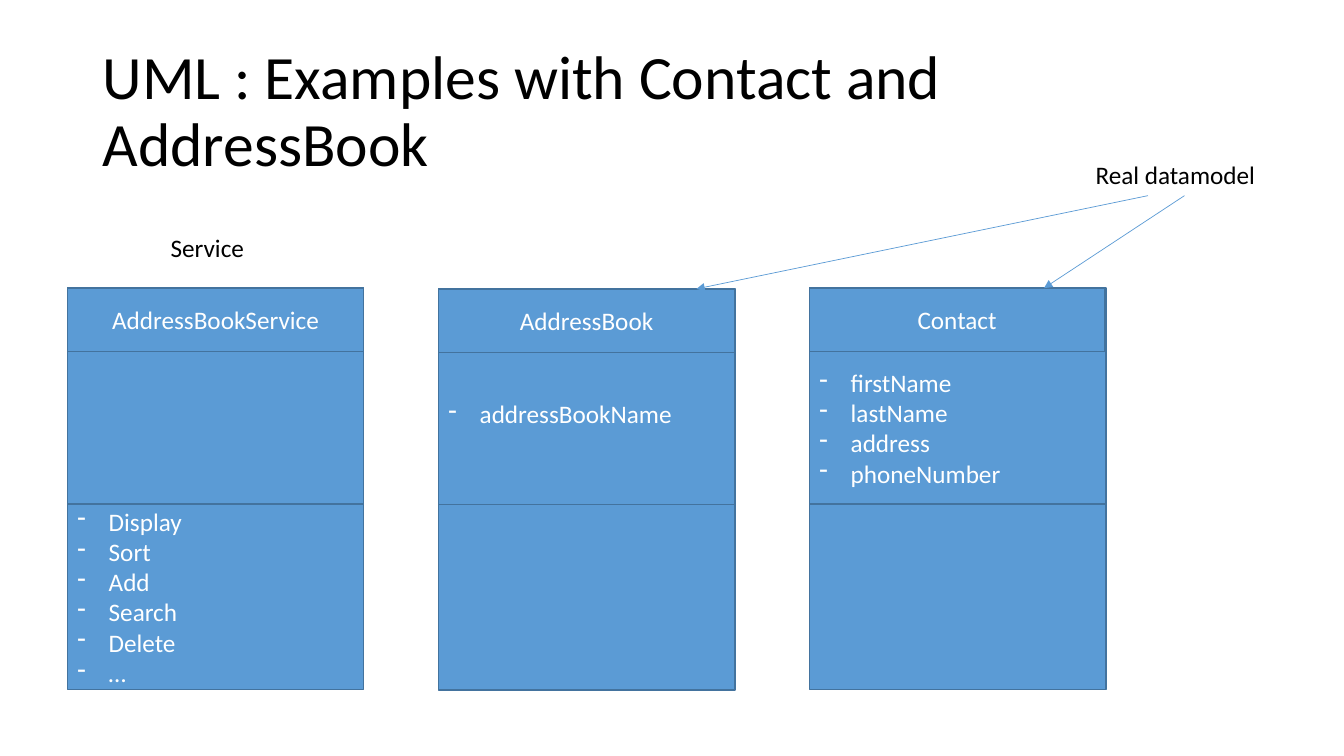
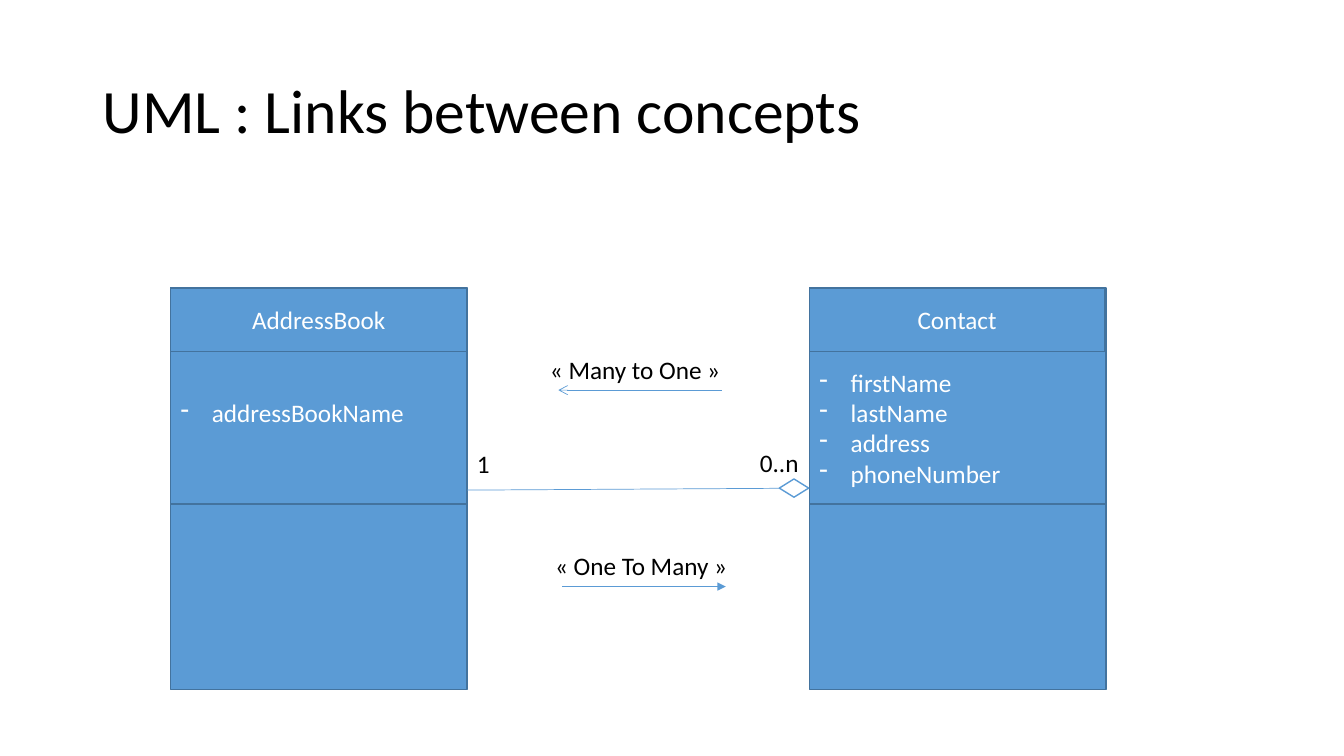
from lxml import etree
from pptx import Presentation
from pptx import util as u
from pptx.dml.color import RGBColor
from pptx.enum import shapes, text
from pptx.oxml import ns

BLUE, EDGE, WHITE, BLACK = "5B9BD5", "43739E", "FFFFFF", "000000"
FONT = "Calibri"
CONTACT_FIELDS = ["firstName", "lastName", "address", "phoneNumber"]
BOX_WIDTH, BOX_TOP = 7.47, 7.26
NAME_HEIGHT, FIELDS_HEIGHT, METHODS_HEIGHT = 1.6, 3.84, 4.67
FRAME_HEIGHT = 8.94
CONTACT_LEFT = 20.4
COLUMN_STEP = 9.35
LINE_HEIGHT = 0.77


def color(hex_string):
    return RGBColor.from_string(hex_string)


def add_xml(parent, tag, **attributes):
    return etree.SubElement(parent, ns.qn(tag), attributes)


class Deck:
    """Holds the shared style and the slide being drawn."""

    def __init__(self):
        self.presentation = Presentation()
        self.presentation.slide_width = u.Cm(33.87)
        self.presentation.slide_height = u.Cm(19.05)
        self.slide = None

    def add_text(self, paragraph, words, size=18, ink=BLACK):
        run = paragraph.add_run()
        run.text = words
        run.font.size = u.Pt(size)
        run.font.name = FONT
        run.font.color.rgb = color(ink)

    def new_slide(self, title):
        layout = self.presentation.slide_layouts.get_by_name("Title Only")
        self.slide = self.presentation.slides.add_slide(layout)
        shape = self.slide.shapes.title
        shape.left, shape.top = u.Cm(2.33), u.Cm(1.01)
        shape.width, shape.height = u.Cm(29.21), u.Cm(3.68)
        frame = shape.text_frame
        frame.word_wrap = True
        frame.auto_size = text.MSO_AUTO_SIZE.NONE
        frame.vertical_anchor = text.MSO_ANCHOR.MIDDLE
        paragraph = frame.paragraphs[0]
        paragraph.alignment = text.PP_ALIGN.LEFT
        paragraph.line_spacing = 0.9
        self.add_text(paragraph, title, size=44)

    def shape(self, left, top, width, height, fill=BLUE, edge=EDGE,
              kind=shapes.MSO_SHAPE.RECTANGLE):
        shape = self.slide.shapes.add_shape(
            kind, u.Cm(left), u.Cm(top), u.Cm(width), u.Cm(height))
        shape.shadow.inherit = False
        shape.fill.solid()
        shape.fill.fore_color.rgb = color(fill)
        shape.line.color.rgb = color(edge)
        shape.line.width = u.Pt(1)
        shape.text_frame.word_wrap = True
        shape.text_frame.vertical_anchor = text.MSO_ANCHOR.MIDDLE
        return shape

    def bullets(self, shape, items):
        frame = shape.text_frame
        for index, item in enumerate(items):
            paragraph = frame.add_paragraph() if index else frame.paragraphs[0]
            paragraph.alignment = text.PP_ALIGN.LEFT
            properties = paragraph._p.get_or_add_pPr()
            indent = u.Cm(0.79)
            properties.set("marL", str(indent))
            properties.set("indent", str(-indent))
            add_xml(properties, "a:buChar", char="-")
            self.add_text(paragraph, item, ink=WHITE)

    def uml_class(self, left, name, fields=(), methods=(), top=BOX_TOP,
                  name_width=BOX_WIDTH, spare_lines=0):
        """A class box: frame, name, fields and methods."""
        self.shape(left, top, BOX_WIDTH, FRAME_HEIGHT)
        header = self.shape(left, top, name_width, NAME_HEIGHT)
        paragraph = header.text_frame.paragraphs[0]
        paragraph.alignment = text.PP_ALIGN.CENTER
        self.add_text(paragraph, name, ink=WHITE)
        top += NAME_HEIGHT
        field_box = self.shape(left, top, BOX_WIDTH, FIELDS_HEIGHT)
        field_box.text_frame.margin_bottom = u.Cm(0.13 + spare_lines * LINE_HEIGHT)
        self.bullets(field_box, fields)
        top += FIELDS_HEIGHT
        method_box = self.shape(left, top, BOX_WIDTH, METHODS_HEIGHT)
        self.bullets(method_box, methods)

    def contact_class(self):
        self.uml_class(CONTACT_LEFT, "Contact", CONTACT_FIELDS, name_width=7.44)

    def address_book_class(self, left, top=BOX_TOP):
        self.uml_class(left, "AddressBook", ["addressBookName"], top=top,
                       spare_lines=1)

    def label(self, left, top, width, words, wrap=False):
        box = self.slide.shapes.add_textbox(
            u.Cm(left), u.Cm(top), u.Cm(width), u.Cm(1.03))
        box.text_frame.word_wrap = wrap
        box.text_frame.auto_size = text.MSO_AUTO_SIZE.SHAPE_TO_FIT_TEXT
        self.add_text(box.text_frame.paragraphs[0], words)

    def line(self, start, end, head=None, tail=None):
        connector = self.slide.shapes.add_connector(
            shapes.MSO_CONNECTOR.STRAIGHT,
            *(u.Cm(length) for length in (*start, *end)))
        connector.line.color.rgb = color(BLUE)
        connector.line.width = u.Pt(0.5)
        outline = connector.line._get_or_add_ln()
        for tag, arrow in (("a:headEnd", head), ("a:tailEnd", tail)):
            if arrow:
                add_xml(outline, tag, type=arrow)
        add_xml(connector._element.spPr, "a:effectLst")


deck = Deck()

# Slide 1: service and data model classes
deck.new_slide("UML : Examples with Contact and AddressBook")
deck.uml_class(CONTACT_LEFT - 2 * COLUMN_STEP, "AddressBookService",
               methods=["Display", "Sort", "Add", "Search", "Delete", "…"])
deck.contact_class()
deck.label(27.36, 3.9, 4.98, "Real datamodel", wrap=True)
deck.line((29.85, 4.93), (26.31, BOX_TOP), tail="triangle")
deck.address_book_class(CONTACT_LEFT - COLUMN_STEP, top=7.28)
deck.line((28.93, 4.93), (17.55, 7.28), tail="triangle")
deck.label(4.05, 5.72, 2.39, "Service")

# Slide 2: association between the two classes
deck.new_slide("UML : Links between concepts")
deck.contact_class()
book_left = 4.3
book_right = book_left + BOX_WIDTH
deck.address_book_class(book_left)
deck.line((book_right, 12.35), (CONTACT_LEFT, 12.3))
deck.label(18.9, 11.15, 1.5, "0..n")
deck.label(book_right, 11.18, 0.84, "1")
deck.label(13.74, 13.74, 4.9, "«\u00a0One To Many\u00a0»")
deck.shape(19.64, 12.07, 0.74, 0.46, fill=WHITE, edge=BLUE,
           kind=shapes.MSO_SHAPE.FLOWCHART_DECISION)
deck.line((14.17, 14.78), (18.29, 14.78), tail="triangle")
deck.label(13.61, 8.81, 4.85, "«\u00a0Many to One\u00a0»")
deck.line((14.07, 9.83), (18.19, 9.83), head="arrow")

deck.presentation.save("out.pptx")
